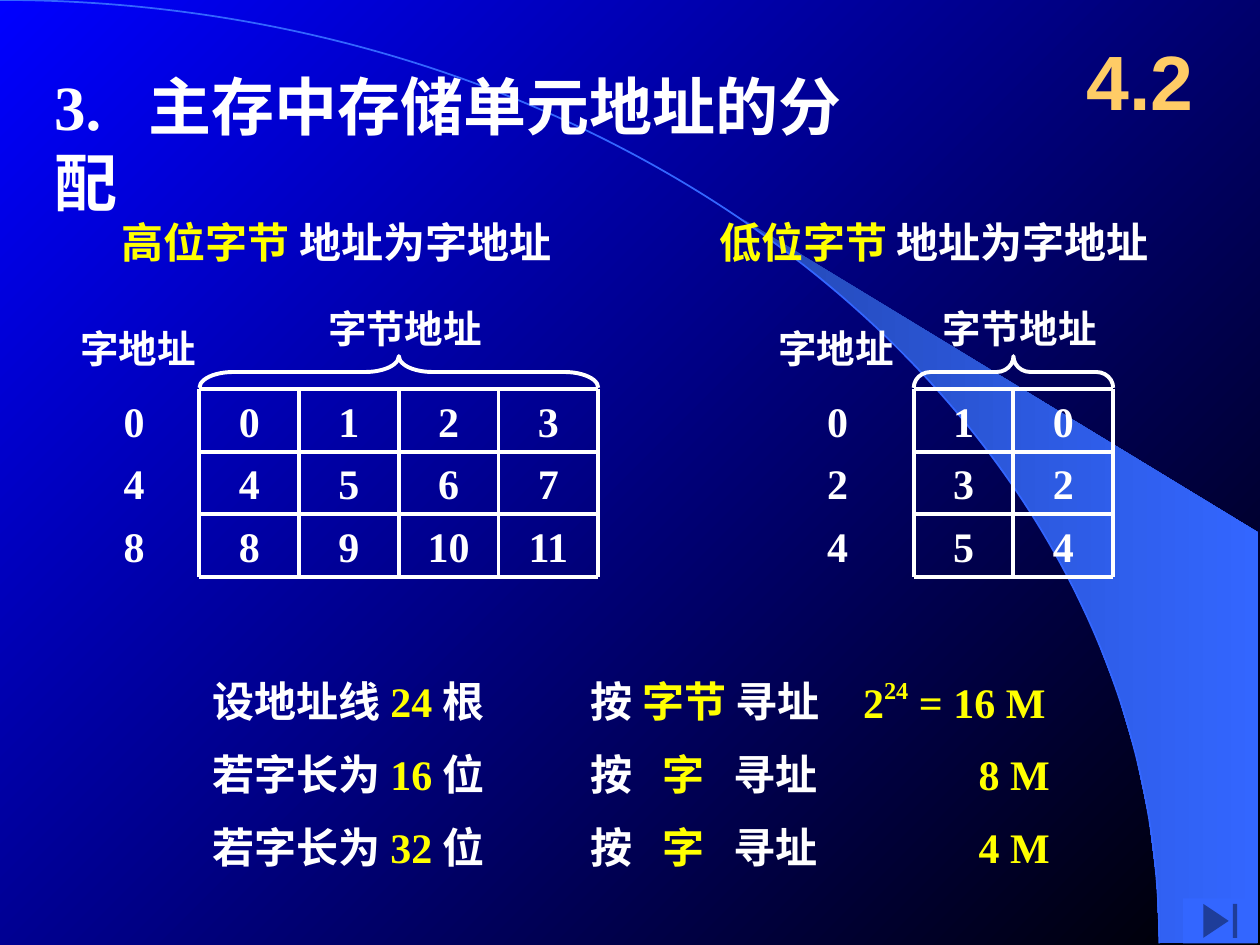
import math
from dataclasses import dataclass

from lxml import etree
from pptx import Presentation
from pptx import util as u
from pptx.dml.color import RGBColor
from pptx.enum import shapes, text
from pptx.oxml.ns import qn

Cm, Pt = u.Cm, u.Pt


@dataclass(frozen=True)
class Theme:
    white: str = "FFFFFF"
    yellow: str = "FFFF00"
    gold: str = "FFCC66"
    blue: str = "3366FF"
    sweep_start: str = "2449B6"
    background: tuple = ("0000FF", "000000")
    serif: str = "Times New Roman"
    sans: str = "Arial"
    title: int = 36
    section: int = 44
    body: int = 24
    label: int = 22
    rule: float = 2.25


@dataclass(frozen=True)
class Box:
    left: float
    top: float
    width: float
    height: float

    def inner(self, left, top, width, height):
        return Box(self.left + left, self.top + top, width, height)

    def lengths(self):
        return [Cm(value) for value in (self.left, self.top, self.width, self.height)]


THEME = Theme()
CENTER = text.PP_ALIGN.CENTER
MIDDLE = text.MSO_ANCHOR.MIDDLE


def color(value):
    return RGBColor.from_string(value)


def add_text(slide, box, runs, size=THEME.body, font=THEME.serif,
             align=None, anchor=text.MSO_ANCHOR.TOP, tabs=()):
    frame = slide.shapes.add_textbox(*box.lengths()).text_frame
    frame.word_wrap = True
    frame.vertical_anchor = anchor
    paragraph = frame.paragraphs[0]
    paragraph.alignment = align
    if tabs:
        tab_list = etree.SubElement(paragraph._p.get_or_add_pPr(), qn("a:tabLst"))
        for position in tabs:
            etree.SubElement(tab_list, qn("a:tab"), pos=str(Cm(position)), algn="l")
    for words, tint in runs:
        run = paragraph.add_run()
        run.text = words
        for name, value in {"size": Pt(size), "name": font, "bold": True}.items():
            setattr(run.font, name, value)
        run.font.color.rgb = color(tint)
    return paragraph


def set_line(line, tint, width):
    line.color.rgb = color(tint)
    line.width = Pt(width)


def set_gradient(fill, colors, angle):
    fill.gradient()
    fill.gradient_angle = angle
    for stop, value in zip(fill.gradient_stops, colors):
        stop.color.rgb = color(value)


def add_rule(slide, *ends):
    rule = slide.shapes.add_connector(shapes.MSO_CONNECTOR.STRAIGHT,
                                      *[Cm(end) for end in ends])
    set_line(rule.line, THEME.white, THEME.rule)
    etree.SubElement(rule._element.spPr, qn("a:effectLst"))


def add_outline(slide, points, close):
    start, *rest = [(Cm(x), Cm(y)) for x, y in points]
    builder = slide.shapes.build_freeform(*start)
    builder.add_line_segments(rest, close=close)
    shape = builder.convert_to_shape()
    shape.shadow.inherit = False
    return shape


def draw_backdrop(slide, box):
    set_gradient(slide.background.fill, THEME.background, 315)
    radius_x, radius_y, right = 23.37, 19.02, 25.37
    # Shaded sweep to the right of the arc
    first, steps = math.asin(0.64), 13
    angles = [first + (math.pi / 2 - first) * i / steps for i in range(steps + 1)]
    edge = [(box.left + radius_x * math.sin(angle),
             box.top + radius_y * (1 - math.cos(angle))) for angle in angles]
    corners = [(box.left + right, box.top + y) for y in (radius_y, 10.74)]
    sweep = add_outline(slide, edge + corners, True)
    set_gradient(sweep.fill, (THEME.sweep_start, THEME.blue), 0)
    sweep.line.fill.background()
    # Thin quarter ellipse: its one segment becomes a Bezier curve
    end = (box.left + radius_x, box.top + radius_y)
    curve = add_outline(slide, [(box.left, box.top), end], False)
    outline = curve._element.spPr.find(".//" + qn("a:path"))
    outline.remove(outline.find(qn("a:lnTo")))
    bezier = etree.SubElement(outline, qn("a:cubicBezTo"))
    for x, y in ((0.55 * radius_x, 0), (radius_x, 0.45 * radius_y), (radius_x, radius_y)):
        etree.SubElement(bezier, qn("a:pt"), x=str(Cm(x)), y=str(Cm(y)))
    curve.fill.background()
    set_line(curve.line, THEME.blue, 1)


def draw_header(slide, box):
    add_text(slide, box.inner(0, 0, 17.4, 1.78),
             [("3.\t主存中存储单元地址的分配", THEME.white)], THEME.title, tabs=[1.91])
    add_text(slide, box.inner(20.55, -0.81, 3.18, 2.34), [("4.2", THEME.gold)],
             THEME.section, THEME.sans, CENTER, MIDDLE)


def draw_grid(slide, box, rows):
    width, height = box.width / len(rows[0]), box.height / len(rows)
    for r, values in enumerate(rows):
        for c, value in enumerate(values):
            add_text(slide, box.inner(c * width, r * height, width, height),
                     [(str(value), THEME.white)], align=CENTER, anchor=MIDDLE)
    right, bottom = box.left + box.width, box.top + box.height
    for r in range(len(rows) + 1):
        y = box.top + r * height
        add_rule(slide, box.left, y, right, y)
    for c in range(len(rows[0]) + 1):
        x = box.left + c * width
        add_rule(slide, x, box.top, x, bottom)


def draw_memory_map(slide, box, grid_left, words_left, heading_left, heading,
                    words, rows, bend):
    column, row_height, grid_top = 2.01, 1.26, 3.61
    width = column * len(rows[0])
    # Heading and labels
    add_text(slide, box.inner(heading_left, 0, 10.7, 1.27),
             [(f"{heading} ", THEME.yellow), ("地址为字地址", THEME.white)])
    add_text(slide, box.inner(0, 2.19, 3.48, 1.19), [("字地址", THEME.white)], THEME.label)
    add_text(slide, box.inner(grid_left + width / 2 - 1.69, 1.78, 3.63, 1.19),
             [("字节地址", THEME.white)], THEME.label, align=CENTER)
    # Brace, turned to span the columns
    thickness = 0.64
    brace_box = box.inner(grid_left + (width - thickness) / 2,
                          grid_top - 0.03 - (thickness + width) / 2, thickness, width)
    brace = slide.shapes.add_shape(shapes.MSO_SHAPE.LEFT_BRACE, *brace_box.lengths())
    brace.rotation = 90
    brace.adjustments[0] = bend
    brace.shadow.inherit = False
    brace.fill.background()
    set_line(brace.line, THEME.white, THEME.rule)
    # Byte addresses, with the word address beside each row
    draw_grid(slide, box.inner(grid_left, grid_top, width, row_height * len(rows)), rows)
    for r, word in enumerate(words):
        add_text(slide, box.inner(words_left, grid_top + r * row_height, column, row_height),
                 [(str(word), THEME.white)], align=CENTER, anchor=MIDDLE)


def draw_capacities(slide, box):
    white, yellow = THEME.white, THEME.yellow
    lines = [
        ("设地址线", "24", "根", "按 ", "字节", " 寻址"),
        ("若字长为", "16", "位", "按\t", "字", "\t寻址"),
        ("若字长为", "32", "位", "按\t", "字", "\t寻址"),
    ]
    pitch = 1.47
    for i, (given, number, unit, by, target, addressing) in enumerate(lines):
        add_text(slide, box.inner(0, i * pitch, 7.6, 1.27),
                 [(f"{given} ", white), (f"{number} ", yellow), (unit, white)])
        add_text(slide, box.inner(7.62, i * pitch, 6.5, 1.27),
                 [(by, white), (target, yellow), (addressing, white)], tabs=[1.45, 2.87])
    # Results
    power = add_text(slide, box.inner(13.11, 0, 6.15, 1.27),
                     [("2", yellow), ("24", yellow), (" = 16 M", yellow)])
    power.runs[1]._r.get_or_add_rPr().set("baseline", "45000")
    for i, result in enumerate(("8 M", "4 M"), start=1):
        add_text(slide, box.inner(15.44, i * pitch, 5.72, 1.27), [(result, yellow)])


def draw_end_button(slide, box):
    button = slide.shapes.add_shape(shapes.MSO_SHAPE.ACTION_BUTTON_END, *box.lengths())
    button.shadow.inherit = False
    button.fill.solid()
    button.fill.fore_color.rgb = color(THEME.blue)
    button.line.fill.background()


def main():
    presentation = Presentation()
    presentation.slide_width, presentation.slide_height = Cm(25.4), Cm(19.05)
    slide = presentation.slides.add_slide(presentation.slide_layouts[6])
    draw_backdrop(slide, Box(0, 0, 25.4, 19.05))
    draw_header(slide, Box(0.84, 1.24, 23.8, 3.2))
    draw_memory_map(slide, Box(1.37, 4.24, 10.7, 7.4), 2.65, 0.33, 0.84, "高位字节",
                    (0, 4, 8), [range(i, i + 4) for i in (0, 4, 8)], 1.06)
    draw_memory_map(slide, Box(15.44, 4.24, 7, 7.4), 2.98, 0.44, -1.19, "低位字节",
                    (0, 2, 4), [(i + 1, i) for i in (0, 2, 4)], 0.53)
    draw_capacities(slide, Box(4.04, 13.49, 21, 4.3))
    draw_end_button(slide, Box(23.85, 18.11, 1.5, 0.91))
    presentation.save("out.pptx")


if __name__ == "__main__":
    main()
